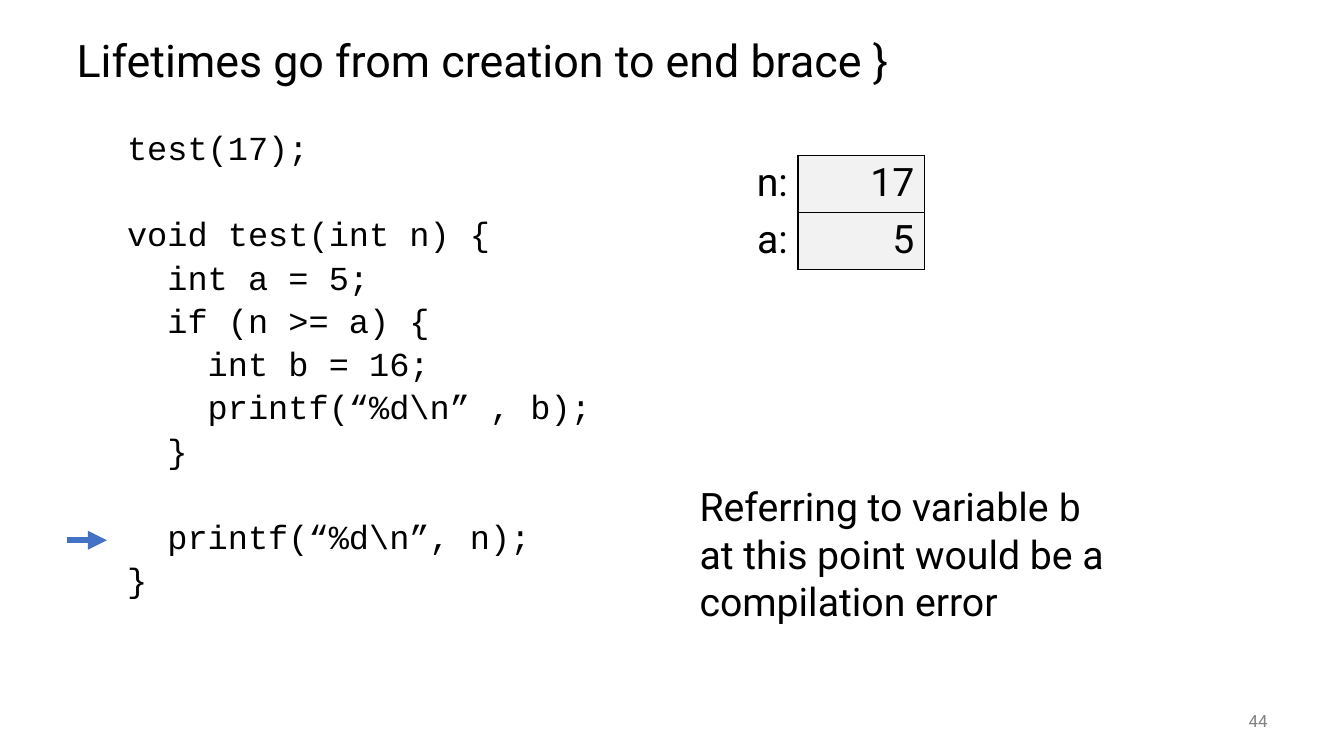
from dataclasses import dataclass

from lxml import etree
from pptx import Presentation
from pptx import util as u
from pptx.dml.color import RGBColor
from pptx.enum import text
from pptx.oxml.ns import qn


@dataclass(frozen=True)
class Theme:
    sans: str = "Roboto"
    mono: str = "Courier New"
    ink: str = "000000"
    muted: str = "808080"
    cell: str = "F2F2F2"
    accent: str = "4472C4"
    title: int = 32
    large: int = 28
    code: int = 24
    small: int = 12


THEME = Theme()
MARGIN = 0.66
CODE_GAP = 5
BLANK_LINE = 31

CODE = """test(17);

void test(int n) {
  int a = 5;
  if (n >= a) {
    int b = 16;
    printf(“%d\\n” , b);
  }

  printf(“%d\\n”, n);
}"""
VARIABLES = [("n:", "17"), ("a:", "5")]
NOTE = [("Referring to variable ", THEME.sans), ("b", THEME.mono),
        (" at this point would be a compilation error", THEME.sans)]


def apply(target, **values):
    for name, value in values.items():
        setattr(target, name, value)


def style(font, size, name=THEME.sans, color=THEME.ink):
    apply(font, size=u.Pt(size), name=name, bold=False)
    font.color.rgb = RGBColor.from_string(color)


def place(shape, box):
    names = ("left", "top", "width", "height")
    apply(shape, **{name: u.Inches(value) for name, value in zip(names, box)})


def add_box(page, box):
    frame = page.shapes.add_textbox(*map(u.Inches, box)).text_frame
    frame.word_wrap = True
    return frame


def fill_title(page, box):
    title = page.shapes.title
    place(title, box)
    apply(title.text_frame, text="Lifetimes go from creation to end brace }",
          vertical_anchor=text.MSO_ANCHOR.MIDDLE, auto_size=text.MSO_AUTO_SIZE.NONE)
    para = title.text_frame.paragraphs[0]
    apply(para, alignment=text.PP_ALIGN.LEFT, line_spacing=0.9)
    style(para.runs[0].font, THEME.title)


def fill_code(page, box):
    """Set the listing in the body; a blank source line becomes space before the next."""
    body = page.placeholders[1]
    place(body, box)
    frame = body.text_frame
    frame.auto_size = text.MSO_AUTO_SIZE.NONE
    para, space = frame.paragraphs[0], 0
    for line in CODE.splitlines():
        if not line:
            space += BLANK_LINE
            continue
        if para.runs:
            para = frame.add_paragraph()
        apply(para, level=1, line_spacing=0.9, space_before=u.Pt(space))
        props = para._p.get_or_add_pPr()
        props.set("marL", str(u.Inches(0.5)))
        props.set("indent", "0")
        etree.SubElement(props, qn("a:buNone"))
        span = para.add_run()
        span.text = line
        style(span.font, THEME.code, THEME.mono)
        space = CODE_GAP


def set_borders(cell, sides):
    props = cell._tc.get_or_add_tcPr()
    for index, side in enumerate(sides):
        line = etree.Element(qn(f"a:ln{side}"), w=str(u.Pt(1)))
        fill = etree.SubElement(line, qn("a:solidFill"))
        etree.SubElement(fill, qn("a:srgbClr"), val=THEME.ink)
        props.insert(index, line)


def add_variables(page, box):
    table = page.shapes.add_table(len(VARIABLES), 2, *map(u.Inches, box)).table
    apply(table, first_row=False, horz_banding=False)
    for row, entry in enumerate(VARIABLES):
        for column, content in enumerate(entry):
            cell = table.cell(row, column)
            cell.text = content
            para = cell.text_frame.paragraphs[0]
            para.alignment = text.PP_ALIGN.RIGHT
            style(para.runs[0].font, THEME.large)
            if column:
                cell.fill.solid()
                cell.fill.fore_color.rgb = RGBColor.from_string(THEME.cell)
                set_borders(cell, "LRTB")
            else:
                cell.fill.background()
                set_borders(cell, "R")


def add_pointer(page, box):
    """Draw the arrow that marks the current line, along the top of the box."""
    left, top, width, _ = box
    arrow = page.shapes.add_connector(1, *map(u.Inches, (left, top, left + width, top)))
    arrow.line.width = u.Pt(4.5)
    arrow.line.color.rgb = RGBColor.from_string(THEME.accent)
    etree.SubElement(arrow.line._get_or_add_ln(), qn("a:tailEnd"), type="triangle")
    etree.SubElement(arrow._element.spPr, qn("a:effectLst"))


def add_note(page, box):
    para = add_box(page, box).paragraphs[0]
    for content, font in NOTE:
        span = para.add_run()
        span.text = content
        style(span.font, THEME.large, font)


def add_page_number(page, box):
    frame = add_box(page, box)
    apply(frame, text="44", vertical_anchor=text.MSO_ANCHOR.MIDDLE)
    para = frame.paragraphs[0]
    para.alignment = text.PP_ALIGN.RIGHT
    style(para.runs[0].font, THEME.small, color=THEME.muted)


def main():
    deck = Presentation()
    apply(deck, slide_width=u.Inches(13.33), slide_height=u.Inches(7.5))
    page = deck.slides.add_slide(deck.slide_layouts[1])
    fill_title(page, (MARGIN, 0.25, 12, 0.75))
    fill_code(page, (MARGIN, 1.25, 12, 5.5))
    add_page_number(page, (11.67, 6.95, 1, 0.4))
    add_variables(page, (6.66, 1.54, 2.51, 1.13))
    add_pointer(page, (MARGIN, 5.36, 0.4, 0))
    add_note(page, (6.84, 4.74, 4.23, 1.51))
    deck.save("out.pptx")


if __name__ == "__main__":
    main()
